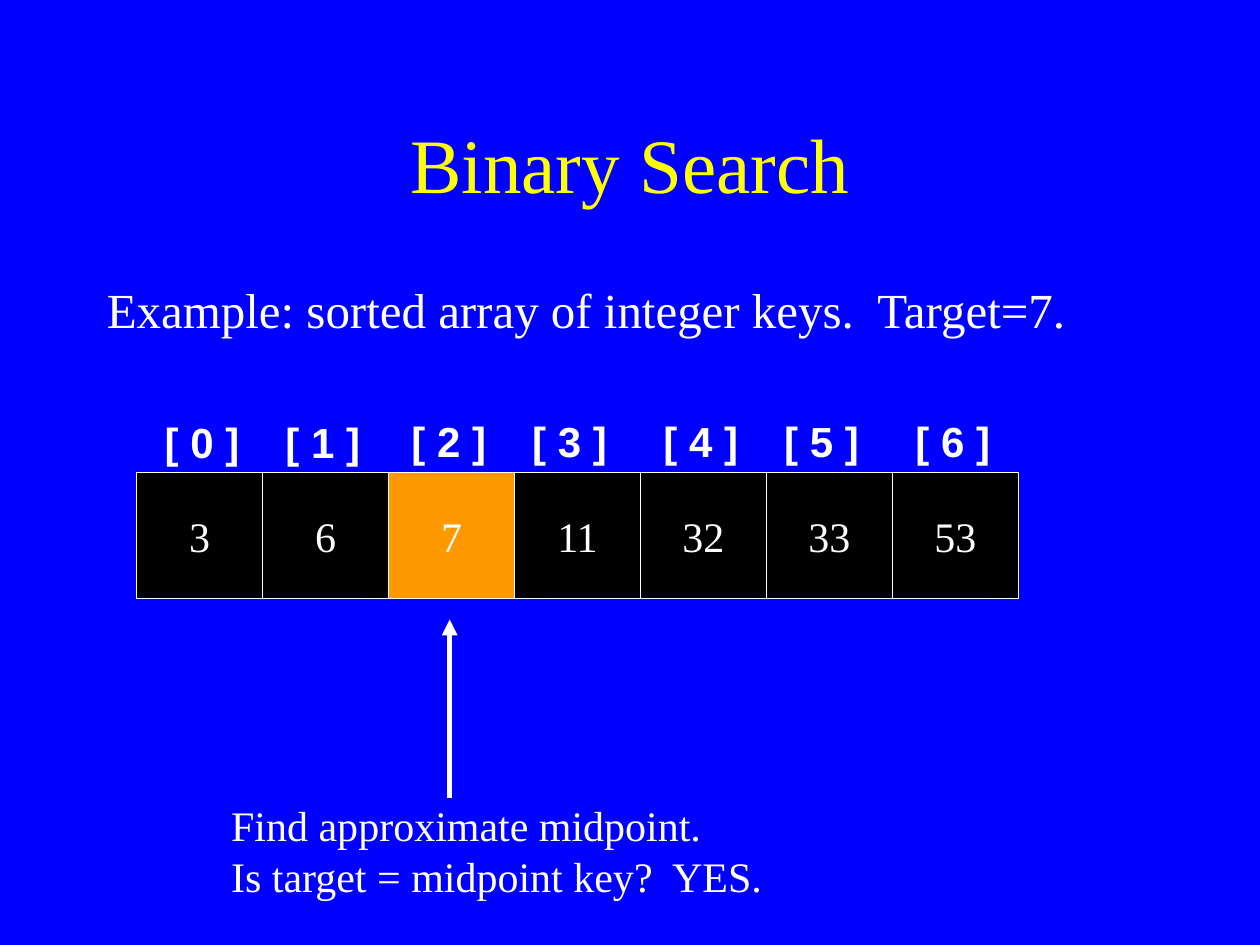
from dataclasses import dataclass

from lxml.etree import SubElement
from pptx import Presentation
from pptx.dml.color import RGBColor as RGB
from pptx.enum.shapes import MSO_CONNECTOR as CONN, MSO_SHAPE as SHAPE
from pptx.enum.text import MSO_ANCHOR as ANCHOR, PP_ALIGN as ALIGN
from pptx.oxml.ns import qn
from pptx.util import Pt


@dataclass(frozen=True)
class Theme:
    back: RGB = RGB(0, 0, 255)
    title: RGB = RGB(255, 255, 0)
    ink: RGB = RGB(255, 255, 255)
    cell: RGB = RGB(0, 0, 0)
    found: RGB = RGB(255, 153, 0)
    serif: str = "Times New Roman"
    sans: str = "Arial"
    title_size: int = 44
    lead_size: int = 28
    text_size: int = 24


class Deck:
    """Holds the theme and the current slide, and draws each kind of element."""

    def __init__(self, prs, theme):
        self.theme = theme
        self.s = prs.slides.add_slide(prs.slide_layouts[5])
        self.s.background.fill.solid()
        self.s.background.fill.fore_color.rgb = theme.back

    def put_lines(self, sp, lines, align=ALIGN.LEFT, anchor=ANCHOR.TOP, wrap=False, color=None, **font):
        tf = sp.text_frame
        frame = {"word_wrap": wrap, "vertical_anchor": anchor}
        for key, value in frame.items():
            setattr(tf, key, value)
        style = {"name": self.theme.serif, "size": Pt(self.theme.text_size), "bold": False} | font
        for i, line in enumerate(lines):
            p = tf.add_paragraph() if i else tf.paragraphs[0]
            p.alignment = align
            r = p.add_run()
            r.text = line
            for key, value in style.items():
                setattr(r.font, key, value)
            r.font.color.rgb = color or self.theme.ink

    def title(self, text, left, top, width, height):
        sp = self.s.shapes.title
        place = {"left": left, "top": top, "width": width, "height": height}
        for key, value in place.items():
            setattr(sp, key, Pt(value))
        self.put_lines(sp, [text], ALIGN.CENTER, ANCHOR.MIDDLE, True,
                       self.theme.title, size=Pt(self.theme.title_size))

    def text(self, lines, left, top, width, height, **style):
        sp = self.s.shapes.add_textbox(Pt(left), Pt(top), Pt(width), Pt(height))
        self.put_lines(sp, lines, **style)

    def cell(self, text, left, top, side, fill):
        sp = self.s.shapes.add_shape(SHAPE.RECTANGLE, Pt(left), Pt(top), Pt(side), Pt(side))
        sp.shadow.inherit = False
        sp.fill.solid()
        sp.fill.fore_color.rgb = fill
        sp.line.color.rgb = self.theme.ink
        sp.line.width = Pt(0.75)
        self.put_lines(sp, [text], ALIGN.CENTER, ANCHOR.MIDDLE)

    def arrow(self, x, tip, tail):
        c = self.s.shapes.add_connector(CONN.STRAIGHT, Pt(x), Pt(tip), Pt(x), Pt(tail))
        c.line.color.rgb = self.theme.ink
        c.line.width = Pt(3)
        props = c.element.spPr
        SubElement(props.find(qn("a:ln")), qn("a:headEnd"), type="triangle")
        SubElement(props, qn("a:effectLst"))


def main():
    prs = Presentation()
    prs.slide_width, prs.slide_height = Pt(720), Pt(540)
    theme = Theme()
    deck = Deck(prs, theme)

    deck.title("Binary Search", 54, 48, 612, 90)
    deck.text(["Example: sorted array of integer keys.  Target=7."], 54, 156, 565, 243,
              size=Pt(theme.lead_size))

    keys, target = [3, 6, 7, 11, 32, 33, 53], 7
    label_lefts = [87, 156, 228, 297, 372, 441, 516]
    left, top, side = 78, 270, 72
    for i, (key, label_left) in enumerate(zip(keys, label_lefts)):
        deck.cell(str(key), left + i * side, top, side,
                  theme.found if key == target else theme.cell)
        deck.text([f"[ {i} ]"], label_left, 234.5 if i < 2 else 234, 57, 36,
                  name=theme.sans, bold=True)

    deck.arrow(257, 354, 456)
    deck.text(["Find approximate midpoint.", "Is target = midpoint key?  YES."],
              125, 453.5, 319, 65)
    prs.save("out.pptx")


if __name__ == "__main__":
    main()
